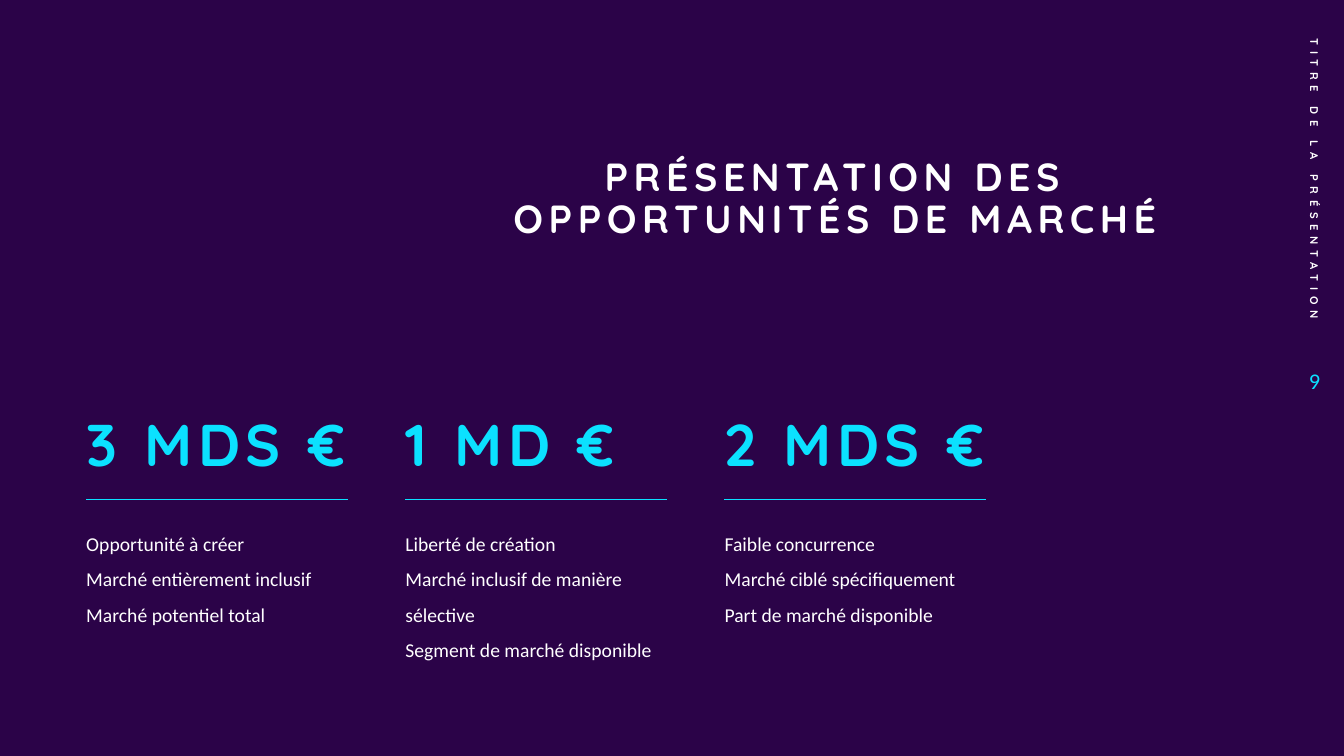
from pptx import Presentation
from pptx.dml.color import RGBColor
from pptx.enum.shapes import MSO_CONNECTOR as Connector
from pptx.enum.text import MSO_ANCHOR as Anchor, PP_ALIGN as Align
from pptx.oxml.ns import qn
from pptx.util import Pt
from lxml.etree import SubElement

PURPLE, CYAN, WHITE = "2B0348", "0BE1FF", "FFFFFF"


def color(value):
    return RGBColor.from_string(value)


class MarketSlide:
    """Holds the text styles and the current slide."""

    styles = {
        "title": {"name": "Quicksand", "size": Pt(28), "bold": True, "color": WHITE},
        "amount": {"name": "Quicksand", "size": Pt(42), "bold": True, "color": CYAN},
        "detail": {"name": "Calibri", "size": Pt(14), "color": WHITE},
        "footer": {"name": "Quicksand", "size": Pt(8), "bold": True, "color": WHITE},
        "number": {"name": "Calibri", "size": Pt(16), "color": CYAN},
    }

    def __init__(self, deck):
        self.slide = deck.slides.add_slide(deck.slide_layouts[6])
        fill = self.slide.background.fill
        fill.solid()
        fill.fore_color.rgb = color(PURPLE)

    def text(self, lines, style, left, top, width, height,
             anchor=Anchor.TOP, rotation=0, **paragraph_format):
        box = self.slide.shapes.add_textbox(Pt(left), Pt(top), Pt(width), Pt(height))
        box.rotation = rotation
        frame = box.text_frame
        frame.word_wrap = True
        frame.vertical_anchor = anchor
        for index, line in enumerate(lines):
            paragraph = frame.paragraphs[0] if index == 0 else frame.add_paragraph()
            for key, value in paragraph_format.items():
                setattr(paragraph, key, value)
            run = paragraph.add_run()
            run.text = line
            for key, value in self.styles[style].items():
                if key == "color":
                    run.font.color.rgb = color(value)
                else:
                    setattr(run.font, key, value)
            # Quicksand is letter-spaced by 4 pt
            if run.font.name == "Quicksand":
                run._r.get_or_add_rPr().set("spc", "400")

    def rule(self, left, top, width):
        line = self.slide.shapes.add_connector(
            Connector.STRAIGHT, Pt(left), Pt(top), Pt(left + width), Pt(top))
        line.line.color.rgb = color(CYAN)
        line.line.width = Pt(0.5)
        SubElement(line._element.spPr, qn("a:effectLst"))


def main():
    deck = Presentation()
    deck.slide_width, deck.slide_height = Pt(960), Pt(540)
    market = MarketSlide(deck)

    # Title
    market.text(["PRÉSENTATION DES OPPORTUNITÉS DE MARCHÉ"], "title",
                339, 108.7, 515, 78, alignment=Align.CENTER, line_spacing=0.9)

    # Opportunity columns
    opportunities = [
        ("3 MDS €", ["Opportunité à créer", "Marché entièrement inclusif",
                     "Marché potentiel total"]),
        ("1 MD €", ["Liberté de création", "Marché inclusif de manière sélective",
                    "Segment de marché disponible"]),
        ("2 MDS €", ["Faible concurrence", "Marché ciblé spécifiquement",
                     "Part de marché disponible"]),
    ]
    for column, (amount, details) in enumerate(opportunities):
        left = 54.5 + 228 * column
        market.text([amount], "amount", left, 268, 212.5, 78,
                    anchor=Anchor.BOTTOM, line_spacing=0.9)
        market.rule(left + 7, 357, 187)
        market.text(details, "detail", left, 368, 212.5, 107, line_spacing=1.5)

    # Vertical footer and slide number
    market.text(["TITRE DE LA PRÉSENTATION"], "footer", 830, 111, 218, 29,
                anchor=Anchor.MIDDLE, rotation=90, alignment=Align.RIGHT)
    market.text(["9"], "number", 907, 249, 43, 45,
                anchor=Anchor.MIDDLE, alignment=Align.RIGHT)

    deck.save("out.pptx")


if __name__ == "__main__":
    main()
